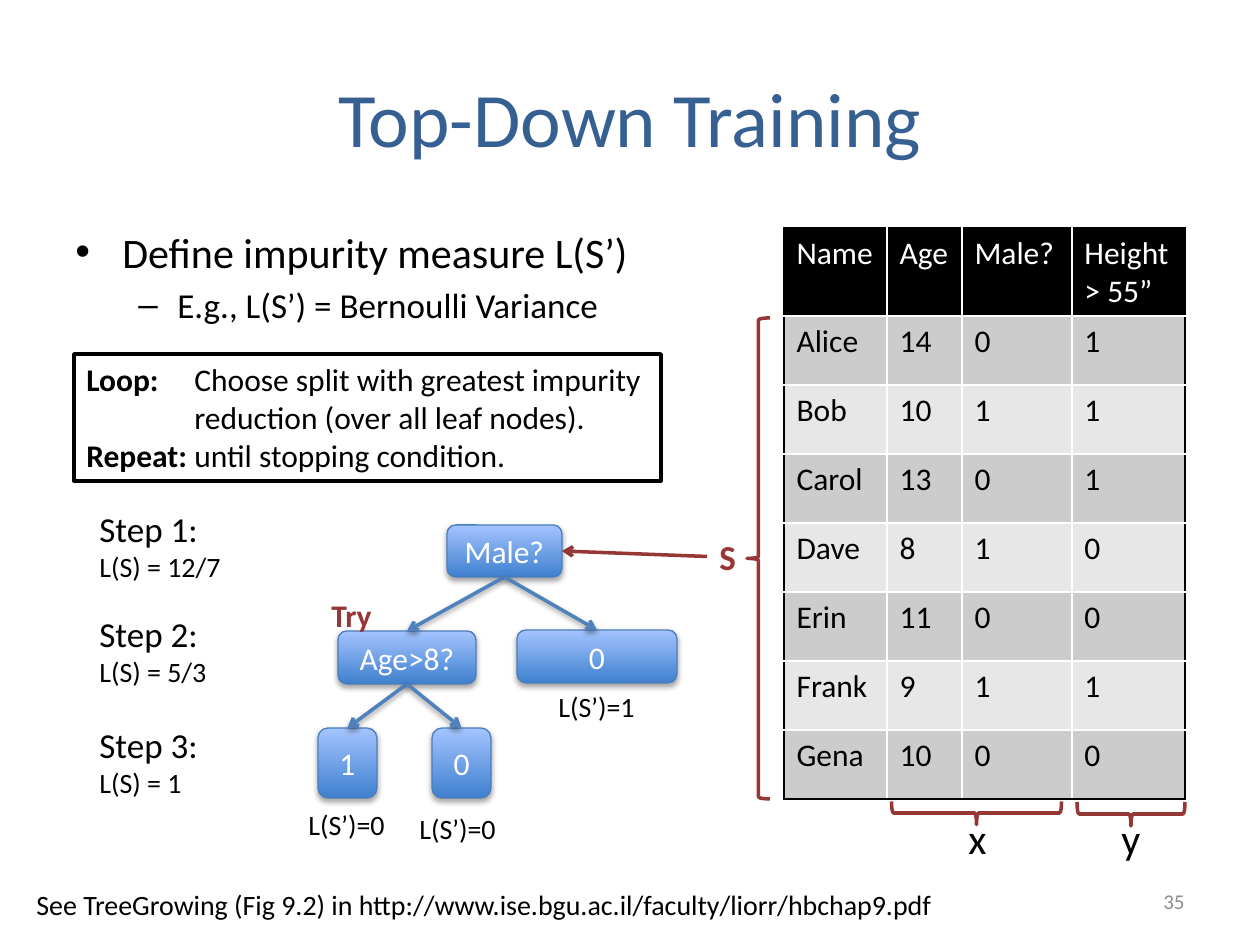
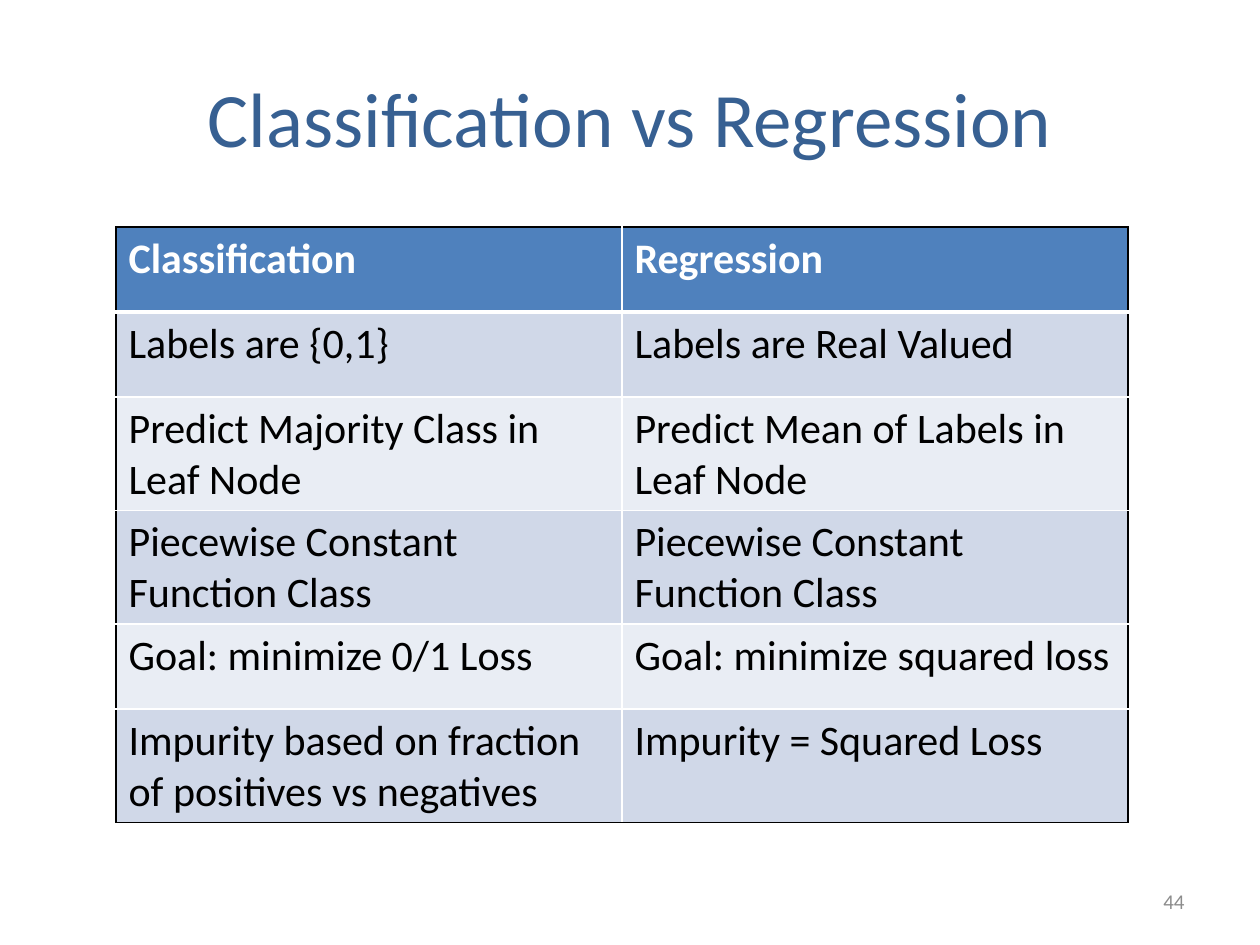
import dataclasses

import lxml.etree
import pptx
import pptx.dml.color
import pptx.enum.shapes
import pptx.enum.text
import pptx.oxml.ns
import pptx.util

SHAPE = pptx.enum.shapes.MSO_SHAPE
ALIGN = pptx.enum.text.PP_ALIGN
ANCHOR = pptx.enum.text.MSO_ANCHOR
TOP, LEFT, BOTTOM, RIGHT = range(4)  # connection sites


@dataclasses.dataclass(frozen=True)
class Theme:
    font: str = "Calibri"
    title: str = "376092"
    ink: str = "000000"
    white: str = "FFFFFF"
    grey: str = "8C8C8C"
    red: str = "953735"
    blue: str = "4F81BD"
    edge: str = "4B7EBC"
    fade: tuple = ("3F80CE", "A4C4FF")
    dark: tuple = ("000000", "CCCCCC", "E7E7E7")
    light: tuple = ("4F81BD", "D0D8E8", "E9EDF4")
    huge: int = 44
    big: int = 24
    mid: int = 20
    base: int = 18
    small: int = 16
    tiny: int = 12


T = Theme()


# Basics
def px(n):
    return pptx.util.Emu(round(n * 914400 / 126))


def rgb(code):
    return pptx.dml.color.RGBColor.from_string(code)


def put(thing, **vals):
    for key, val in vals.items():
        setattr(thing, key, val)


def add(parent, tag, **vals):
    node = lxml.etree.SubElement(parent, pptx.oxml.ns.qn(tag))
    for key, val in vals.items():
        node.set(key, str(val))
    return node


def run(para, text, size=T.base, color=T.ink, bold=False):
    part = para.add_run()
    part.text = text
    put(part.font, name=T.font, size=pptx.util.Pt(size), bold=bold)
    part.font.color.rgb = rgb(color)


def paras(frame, count):
    return [frame.paragraphs[0]] + [frame.add_paragraph() for _ in range(count - 1)]


def shade(props, alpha, dist):
    """Drop a soft shadow straight down."""
    found = props.find(pptx.oxml.ns.qn("a:effectLst"))
    glow = add(found, "a:outerShdw", blurRad=40000, dist=dist, dir=5400000, rotWithShape=0)
    tint = add(glow, "a:srgbClr", val=T.ink)
    add(tint, "a:alpha", val=alpha * 1000)


# Text
def label(slide, box, *lines, align=ALIGN.LEFT, anchor=ANCHOR.TOP, wrap=False):
    """Each line is (text, size, color, bold), with the tail optional."""
    shape = slide.shapes.add_textbox(*map(px, box))
    put(shape.text_frame, word_wrap=wrap, vertical_anchor=anchor)
    for para, line in zip(paras(shape.text_frame, len(lines)), lines):
        para.alignment = align
        run(para, *line)
    return shape


def base(deck, title, page):
    """Blank slide with the shared title and page number."""
    slide = deck.slides.add_slide(deck.slide_layouts[6])
    label(slide, (63, 38, 1134, 157), (title, T.huge, T.title),
          align=ALIGN.CENTER, anchor=ANCHOR.MIDDLE, wrap=True)
    label(slide, (903, 876, 294, 50), (page, T.tiny, T.grey),
          align=ALIGN.RIGHT, anchor=ANCHOR.MIDDLE, wrap=True)
    return slide


def points(slide, box, items):
    shape = slide.shapes.add_textbox(*map(px, box))
    shape.text_frame.word_wrap = True
    looks = [("•", 47, -47, T.big), ("–", 102, -39, T.mid)]
    for i, para in enumerate(paras(shape.text_frame, len(items))):
        level, text = items[i]
        mark, left, hang, size = looks[level]
        put(para, level=level, space_before=pptx.util.Pt(size * 0.2 if i else 0))
        props = para._p.get_or_add_pPr()
        props.set("marL", str(px(left)))
        props.set("indent", str(px(hang)))
        add(props, "a:buFont", typeface="Arial")
        add(props, "a:buChar", char=mark)
        run(para, text, size)


def steps(slide, box, rows):
    """Framed box with bold keys and text lined up on a tab."""
    shape = slide.shapes.add_shape(SHAPE.RECTANGLE, *map(px, box))
    shape.shadow.inherit = False
    shape.fill.background()
    shape.line.color.rgb = rgb(T.ink)
    shape.line.width = pptx.util.Pt(2)
    put(shape.text_frame, word_wrap=True, vertical_anchor=ANCHOR.TOP)
    for para, (key, text) in zip(paras(shape.text_frame, len(rows)), rows):
        para.alignment = ALIGN.LEFT
        tabs = add(para._p.get_or_add_pPr(), "a:tabLst")
        add(tabs, "a:tab", pos=px(108), algn="l")
        if key:
            run(para, key, bold=True)
        run(para, "\t" + text)


# Tree
def node(slide, box, text):
    shape = slide.shapes.add_shape(SHAPE.ROUNDED_RECTANGLE, *map(px, box))
    shape.shadow.inherit = False
    shape.fill.gradient()
    shape.fill.gradient_angle = 90
    for stop, code in zip(shape.fill.gradient_stops, T.fade):
        stop.color.rgb = rgb(code)
    shape.line.color.rgb = rgb(T.edge)
    shape.line.width = pptx.util.Pt(0.75)
    shade(shape._element.spPr, 35, 23000)
    put(shape.text_frame, word_wrap=True, vertical_anchor=ANCHOR.MIDDLE)
    para = shape.text_frame.paragraphs[0]
    para.alignment = ALIGN.CENTER
    run(para, text, color=T.white)
    return shape


def arrow(slide, start, out, end, into, color, soft=False):
    line = slide.shapes.add_connector(pptx.enum.shapes.MSO_CONNECTOR.STRAIGHT, 0, 0, 0, 0)
    line.begin_connect(start, out)
    line.end_connect(end, into)
    line.line.color.rgb = rgb(color)
    line.line.width = pptx.util.Pt(2)
    props = line._element.spPr
    add(props.find(pptx.oxml.ns.qn("a:ln")), "a:tailEnd", type="arrow")
    add(props, "a:effectLst")
    if soft:
        shade(props, 38, 20000)


def brace(slide, box, turn=0):
    shape = slide.shapes.add_shape(SHAPE.LEFT_BRACE, *map(px, box))
    shape.shadow.inherit = False
    shape.fill.background()
    shape.line.color.rgb = rgb(T.red)
    put(shape.line, width=pptx.util.Pt(2))
    shape.rotation = turn


# Tables
def rim(cell, tag, color, width):
    line = add(cell._tc.get_or_add_tcPr(), tag, w=pptx.util.Pt(width))
    add(add(line, "a:solidFill"), "a:srgbClr", val=color)


def grid(slide, spot, cols, highs, rows, fills, size, bold, rule):
    """Banded table: black outer rim, white inner lines, rule under the head."""
    last, end = len(rows) - 1, len(cols) - 1
    frame = slide.shapes.add_table(len(rows), len(cols), *map(px, (*spot, sum(cols), sum(highs))))
    for col, width in zip(frame.table.columns, cols):
        col.width = px(width)
    for row, high in zip(frame.table.rows, highs):
        row.height = px(high)
    for r, row in enumerate(rows):
        for c, text in enumerate(row):
            cell = frame.table.cell(r, c)
            for tag, outer, width in (
                ("a:lnL", c == 0, 1),
                ("a:lnR", c == end, 1),
                ("a:lnT", r == 0, rule if r == 1 else 1),
                ("a:lnB", r == last, rule if r == 0 else 1),
            ):
                rim(cell, tag, T.ink if outer else T.white, width)
            cell.fill.solid()
            cell.fill.fore_color.rgb = rgb(fills[0 if r == 0 else 2 - r % 2])
            head = r == 0
            run(cell.text_frame.paragraphs[0], text, size,
                T.white if head else T.ink, bold and head)


# Slides
def train(deck):
    slide = base(deck, "Top-Down Training", "35")
    points(slide, (63, 220, 700, 130), [
        (0, "Define impurity measure L(S’)"),
        (1, "E.g., L(S’) = Bernoulli Variance"),
    ])
    steps(slide, (74, 354, 587, 127), [
        ("Loop:", "Choose split with greatest impurity"),
        ("", "reduction (over all leaf nodes)."),
        ("Repeat:", "until stopping condition."),
    ])

    # Sample set
    people = [
        ("Alice", 14, 0, 1), ("Bob", 10, 1, 1), ("Carol", 13, 0, 1), ("Dave", 8, 1, 0),
        ("Erin", 11, 0, 0), ("Frank", 9, 1, 1), ("Gena", 10, 0, 0),
    ]
    rows = [("Name", "Age", "Male?", "Height > 55”")]
    rows += [tuple(map(str, row)) for row in people]
    grid(slide, (784, 228), (103, 75, 110, 113), [83] + [69] * len(people),
         rows, T.dark, T.base, False, 1)
    brace(slide, (747, 318, 23, 481))
    brace(slide, (965, 728, 23, 170), 270)
    brace(slide, (1119, 760, 24, 108), 270)
    label(slide, (956, 806, 44, 63), ("x", T.big))
    label(slide, (1109, 806, 45, 63), ("y", T.big))

    # Impurity at each step
    for n, (top, width, value) in enumerate(
            [(501, 149, "12/7"), (606, 134, "5/3"), (717, 125, "1")], 1):
        label(slide, (87, top, width, 89), (f"Step {n}:", T.mid), (f"L(S) = {value}", T.small))

    # Tree
    root = node(slide, (447, 525, 115, 52), "Male?")
    test = node(slide, (338, 631, 138, 53), "Age>8?")
    none = node(slide, (517, 630, 160, 53), "0")
    yes = node(slide, (318, 728, 59, 70), "1")
    no = node(slide, (432, 728, 59, 70), "0")
    for start, end in ((root, test), (root, none), (test, yes), (test, no)):
        arrow(slide, start, BOTTOM, end, TOP, T.blue, True)
    whole = label(slide, (707, 529, 42, 55), ("S", T.mid, T.red, True))
    arrow(slide, whole, LEFT, root, RIGHT, T.red)
    for left, top, value in ((296, 801, 0), (546, 683, 1), (407, 805, 0)):
        label(slide, (left, top, 103, 47), (f"L(S’)={value}", T.small))
    label(slide, (319, 590, 68, 50), ("Try", T.base, T.red, True))

    label(slide, (24, 881, 937, 47), (
        "See TreeGrowing (Fig 9.2) in http://www.ise.bgu.ac.il/faculty/liorr/hbchap9.pdf",
        T.small))


def versus(deck):
    slide = base(deck, "Classification vs Regression", "44")
    rows = [
        ("Classification", "Regression"),
        ("Labels are {0,1}", "Labels are Real Valued"),
        ("Predict Majority Class in Leaf Node", "Predict Mean of Labels in Leaf Node"),
        ("Piecewise Constant Function Class", "Piecewise Constant Function Class"),
        ("Goal: minimize 0/1 Loss", "Goal: minimize squared loss"),
        ("Impurity based on fraction of positives vs negatives", "Impurity = Squared Loss"),
    ]
    grid(slide, (116, 227), (506, 506), [85] * len(rows), rows, T.light, T.big, True, 3)


def main():
    deck = pptx.Presentation()
    put(deck, slide_width=px(1260), slide_height=px(945))
    train(deck)
    versus(deck)
    deck.save("out.pptx")


if __name__ == "__main__":
    main()
